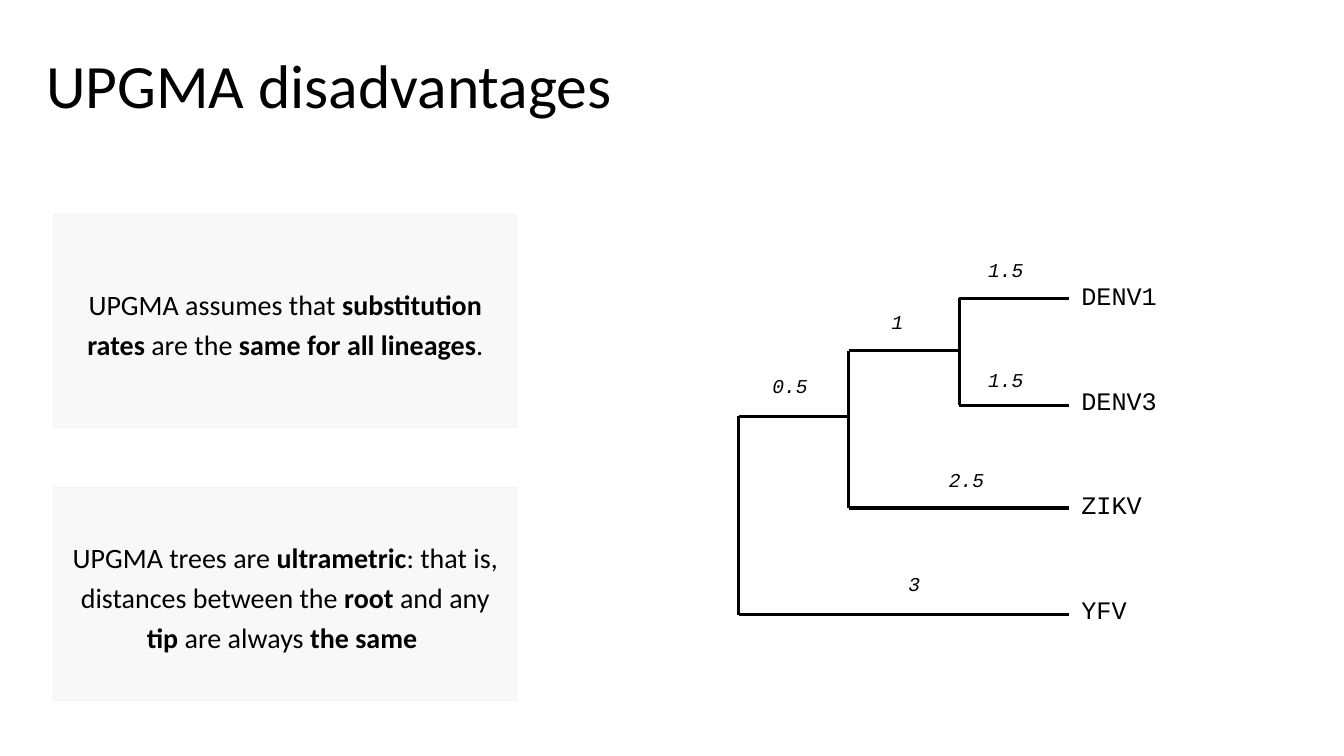
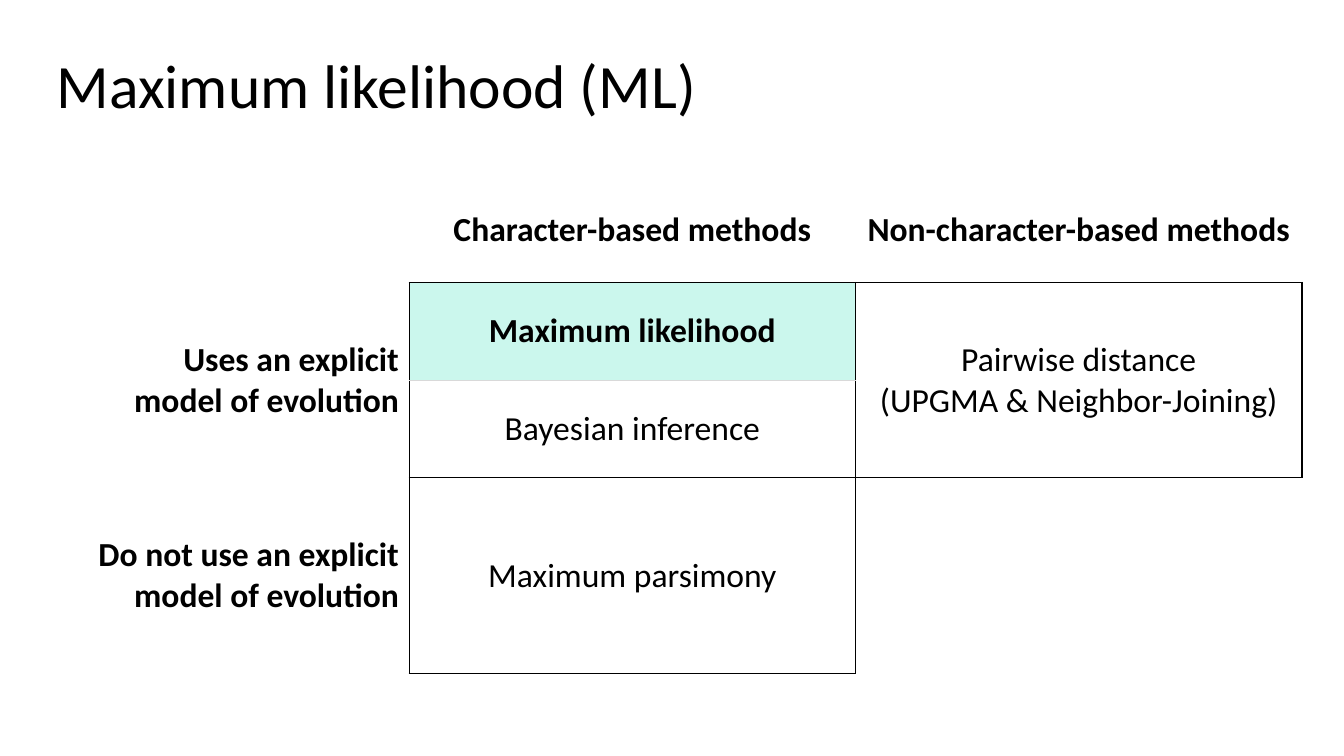
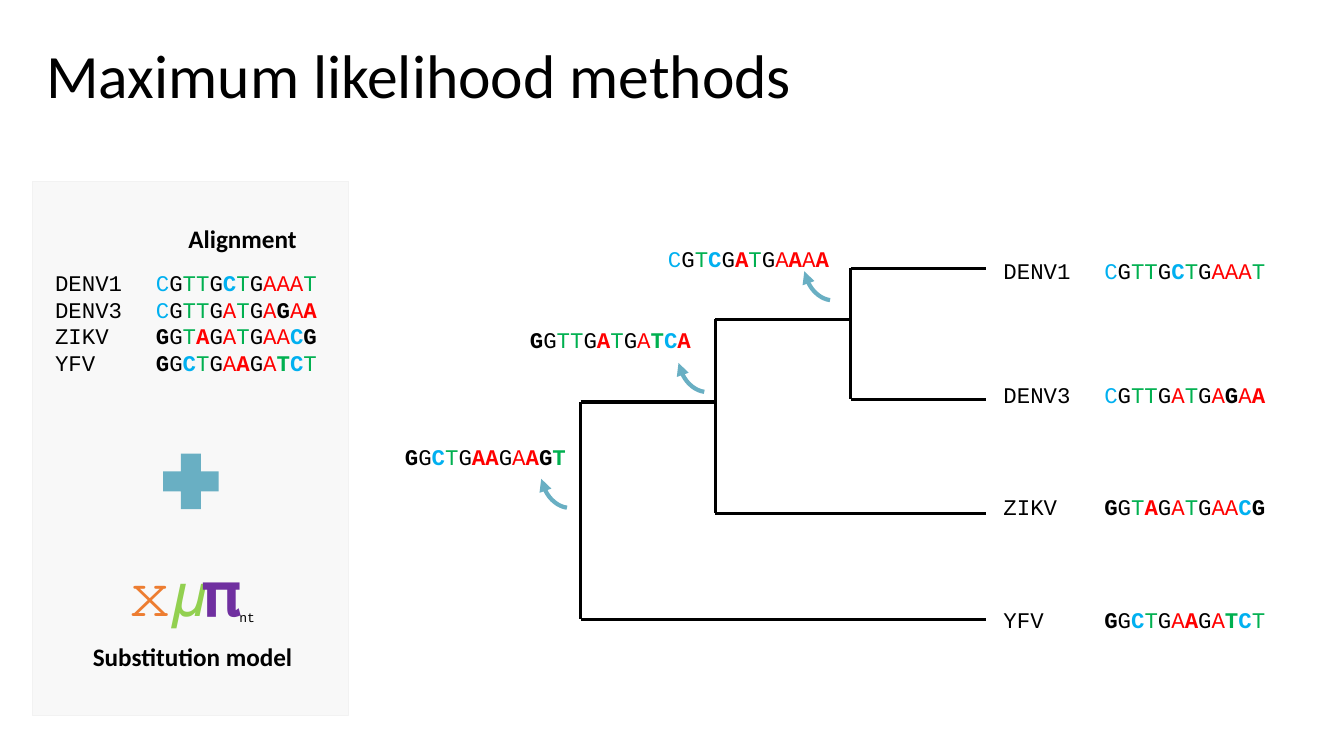
import itertools

import lxml.etree
import pptx
import pptx.dml.color
import pptx.enum.shapes
import pptx.enum.text
import pptx.oxml.ns
import pptx.util

Cm = pptx.util.Cm
Pt = pptx.util.Pt
RGB = pptx.dml.color.RGBColor
ALIGN = pptx.enum.text.PP_ALIGN
ANCHOR = pptx.enum.text.MSO_ANCHOR
SHAPE = pptx.enum.shapes.MSO_SHAPE

BLACK = RGB(0x00, 0x00, 0x00)
PALE = RGB(0xF2, 0xF2, 0xF2)
GREY = RGB(0xD9, 0xD9, 0xD9)
MINT = RGB(0xCB, 0xF7, 0xED)
TEAL = RGB(0x69, 0xAF, 0xC3)
ORANGE = RGB(0xED, 0x7D, 0x31)
LIME = RGB(0x92, 0xD0, 0x50)
PURPLE = RGB(0x70, 0x30, 0xA0)
BASES = {
    "A": RGB(0xFF, 0x00, 0x00),
    "C": RGB(0x00, 0xB0, 0xF0),
    "G": BLACK,
    "T": RGB(0x00, 0xB0, 0x50),
}
SANS = "Calibri"
MONO = "Courier New"
PLAIN_GRID = "{2D5ABB26-0587-4C30-8999-92F81FD0307C}"
TAXA = {
    "DENV1": "CGTTGcTGAAAT",
    "DENV3": "CGTTGATGAgAa",
    "ZIKV": "gGTaGATGAAcg",
    "YFV": "gGcTGAaGAtcT",
}


def node(parent, tag, **attrs):
    return lxml.etree.SubElement(parent, pptx.oxml.ns.qn(tag), attrs)


def place(shape, box):
    shape.left, shape.top, shape.width, shape.height = map(Cm, box)


def style(font, size, name=SANS, color=BLACK, bold=False):
    font.size = Pt(size)
    font.name = name
    font.color.rgb = color
    font.bold = bold


def write(para, parts, size, name):
    for text, bold, color in parts:
        run = para.add_run()
        run.text = text
        style(run.font, size, name, color, bold)


def prose(text):
    return [(part, i % 2 == 1, BLACK)
            for i, part in enumerate(text.split("*")) if part]


def bases(code):
    return [("".join(same).upper(), key.islower(), BASES[key.upper()])
            for key, same in itertools.groupby(code)]


def taxon(name):
    return [(name + "\t", False, BLACK)] + bases(TAXA[name])


def put(shape, rows, size, name=SANS, align=ALIGN.LEFT,
        anchor=ANCHOR.MIDDLE, space=1.0):
    frame = shape.text_frame
    frame.word_wrap = True
    frame.vertical_anchor = anchor
    for i, parts in enumerate(rows):
        para = frame.add_paragraph() if i else frame.paragraphs[0]
        para.alignment = align
        para.line_spacing = space
        if "\t" in parts[0][0]:
            tabs = node(para._p.get_or_add_pPr(), "a:tabLst")
            node(tabs, "a:tab", pos=str(Cm(2.54)), algn="l")
        write(para, parts, size, name)
    return frame


def note(slide, box, rows, size, name=SANS, align=ALIGN.LEFT,
         anchor=ANCHOR.MIDDLE, space=1.0):
    shape = slide.shapes.add_textbox(*map(Cm, box))
    return put(shape, rows, size, name, align, anchor, space)


def start(deck, text, box):
    slide = deck.slides.add_slide(deck.slide_layouts[5])
    title = slide.shapes.title
    place(title, box)
    frame = title.text_frame
    frame.text = text
    frame.word_wrap = True
    frame.auto_size = pptx.enum.text.MSO_AUTO_SIZE.NONE
    frame.vertical_anchor = ANCHOR.MIDDLE
    para = frame.paragraphs[0]
    para.alignment = ALIGN.LEFT
    para.line_spacing = 0.9
    style(para.runs[0].font, 44)
    return slide


def draw(slide, kind, box):
    shape = slide.shapes.add_shape(kind, *map(Cm, box))
    shape.shadow.inherit = False
    return shape


def panel(slide, box):
    shape = draw(slide, SHAPE.RECTANGLE, box)
    shape.fill.solid()
    shape.fill.fore_color.rgb = PALE
    fill = shape._element.spPr.find(pptx.oxml.ns.qn("a:solidFill"))
    node(fill[0], "a:alpha", val="50000")
    shape.line.color.rgb = PALE
    shape.line.width = Pt(0.75)
    return shape


def line(slide, x1, y1, x2, y2):
    kind = pptx.enum.shapes.MSO_CONNECTOR.STRAIGHT
    edge = slide.shapes.add_connector(kind, *map(Cm, (x1, y1, x2, y2)))
    edge.line.color.rgb = BLACK
    edge.line.width = Pt(2.25)
    node(edge._element.spPr, "a:effectLst")


def tree(slide, forks, tip):
    ends = [fork[0] for fork in forks[1:]] + [tip]
    for (x, top, low), end in zip(forks, ends):
        line(slide, x, top, x, low)
        line(slide, x, top, end, top)
        line(slide, x, low, tip, low)


def arrow(slide, left, top):
    arc = draw(slide, SHAPE.ARC, (left, top, 1.52, 2.03))
    arc.adjustments[0] = 56.75
    arc.adjustments[1] = 95.32
    arc.fill.background()
    arc.line.color.rgb = TEAL
    arc.line.width = Pt(3)
    node(arc.line._get_or_add_ln(), "a:tailEnd", type="triangle")


def border(cell, sides):
    props = cell._tc.get_or_add_tcPr()
    for side in sides:
        edge = node(props, "a:ln" + side.upper(), w=str(Pt(1)))
        fill = node(edge, "a:solidFill")
        color = GREY if side.islower() else BLACK
        node(fill, "a:srgbClr", val=str(color))


def flaws(deck):
    slide = start(deck, "UPGMA disadvantages", (0.91, 0.76, 32.13, 2.95))
    claims = [
        ["UPGMA assumes that *substitution rates* are the "
         "*same for all lineages*."],
        ["UPGMA trees are *ultrametric*: that is, distances between the "
         "*root* and any", "*tip* are always *the same *"],
    ]
    for i, rows in enumerate(claims):
        box = panel(slide, (1.35, 5.41 + i * 6.88, 11.68, 5.36))
        frame = put(box, map(prose, rows), 20, align=ALIGN.CENTER, space=1.2)
        frame.margin_left = frame.margin_right = Cm(0.2)
        frame.margin_top = frame.margin_bottom = Cm(0.2)

    tree(slide, [(18.62, 10.49, 15.49), (21.39, 8.84, 12.8),
                 (24.18, 7.52, 10.21)], 26.95)
    for i, name in enumerate(TAXA):
        note(slide, (27, 6.45 + i * 2.64, 3.7, 1.98), [prose(name)], 18, MONO)
    marks = [("0.5", 18.91, 8.89), ("1", 21.62, 7.29), ("1.5", 24.35, 5.97),
             ("1.5", 24.35, 8.74), ("2.5", 23.36, 11.25), ("3", 22.04, 13.89)]
    for text, left, top in marks:
        frame = note(slide, (left, top, 2, 1.65), [prose(text)], 14, MONO,
                     ALIGN.CENTER)
        frame.paragraphs[0].runs[0].font.italic = True


def methods(deck):
    slide = start(deck, "Maximum likelihood (ML)", (1.17, 1.19, 30.35, 2.06))
    wide = [9.14, 11.25, 11.25]
    high = [2.62, 2.46, 2.46, 4.93]
    box = (1.17, 4.5, sum(wide), sum(high))
    grid = slide.shapes.add_table(4, 3, *map(Cm, box)).table
    grid.first_row = grid.horz_banding = False
    grid._tbl.tblPr[0].text = PLAIN_GRID
    for col, width in zip(grid.columns, wide):
        col.width = Cm(width)
    for row, height in zip(grid.rows, high):
        row.height = Cm(height)
    for col in (0, 2):
        grid.cell(1, col).merge(grid.cell(2, col))

    words = [
        ["", "Character-based methods", "Non-character-based methods"],
        ["Uses an explicit\nmodel of evolution", "Maximum likelihood",
         "Pairwise distance\n(UPGMA & Neighbor-Joining)"],
        ["", "Bayesian inference", ""],
        ["Do not use an explicit\nmodel of evolution", "Maximum parsimony",
         ""],
    ]
    edges = [["", "B", "B"], ["R", "LRTb", "LRTB"],
             ["R", "LRtB", "LRB"], ["R", "LRTB", "LT"]]
    for r, c in itertools.product(range(4), range(3)):
        cell = grid.cell(r, c)
        border(cell, edges[r][c])
        cell.fill.background()
        cell.vertical_anchor = ANCHOR.MIDDLE
        if not words[r][c]:
            continue
        cell.text_frame.text = words[r][c]
        for para in cell.text_frame.paragraphs:
            para.alignment = ALIGN.CENTER if c else ALIGN.RIGHT
            bold = r == 0 or c == 0 or (r, c) == (1, 1)
            style(para.runs[0].font, 24, bold=bold)
    best = grid.cell(1, 1).fill
    best.solid()
    best.fore_color.rgb = MINT


def model(deck):
    slide = start(deck, "Maximum likelihood methods",
                  (0.91, 1.02, 32.13, 1.93))
    panel(slide, (0.81, 4.57, 7.98, 13.46))
    heads = [("*Alignment*", (3.78, 5.51, 4.67, 1.02)),
             ("*Substitution model*", (2.01, 16.03, 5.69, 1.02))]
    for text, box in heads:
        note(slide, box, [prose(text)], 18, align=ALIGN.CENTER)
    note(slide, (1.14, 6.65, 7.49, 3), map(taxon, TAXA), 16, MONO,
         anchor=ANCHOR.TOP)

    plus = draw(slide, SHAPE.CROSS, (4.11, 11.43, 1.4, 1.4))
    plus.adjustments[0] = 0.32
    plus.fill.solid()
    plus.fill.fore_color.rgb = TEAL
    plus.line.fill.background()

    signs = [("𝚡", False, ORANGE), ("𝜇", False, LIME), ("𝛑", False, PURPLE)]
    frame = note(slide, (2.82, 14.07, 4.01, 1.96), [signs], 44, "Arial",
                 ALIGN.CENTER, ANCHOR.TOP, 0.9)
    frame.margin_left = frame.margin_right = Cm(0.1)
    para = frame.paragraphs[0]
    write(para, prose("nt"), 16, MONO)
    para.runs[-1]._r.get_or_add_rPr().set("baseline", "-25000")

    tree(slide, [(14.63, 10.13, 15.6), (18.03, 8.05, 12.93),
                 (21.44, 6.76, 10.06)], 24.84)
    for name, top in zip(TAXA, (6.35, 9.47, 12.29, 15.16)):
        note(slide, (25.04, top, 7.67, 0.94), [taxon(name)], 16, MONO,
             anchor=ANCHOR.TOP)
    roots = [("CGTcGaTGAaAa", 16.36, 6.05, 20.24, 5.54),
             ("gGTTGaTGAtca", 12.88, 8.1, 17.07, 7.85),
             ("gGcTGaaGAagt", 9.73, 11.05, 13.61, 10.77)]
    for code, left, top, x, y in roots:
        note(slide, (left, top, 4.78, 0.94), [bases(code)], 16, MONO,
             ALIGN.RIGHT, ANCHOR.TOP)
        arrow(slide, x, y)


def main():
    deck = pptx.Presentation()
    deck.slide_width = Cm(33.87)
    deck.slide_height = Cm(19.05)
    flaws(deck)
    methods(deck)
    model(deck)
    deck.save("out.pptx")


if __name__ == "__main__":
    main()
